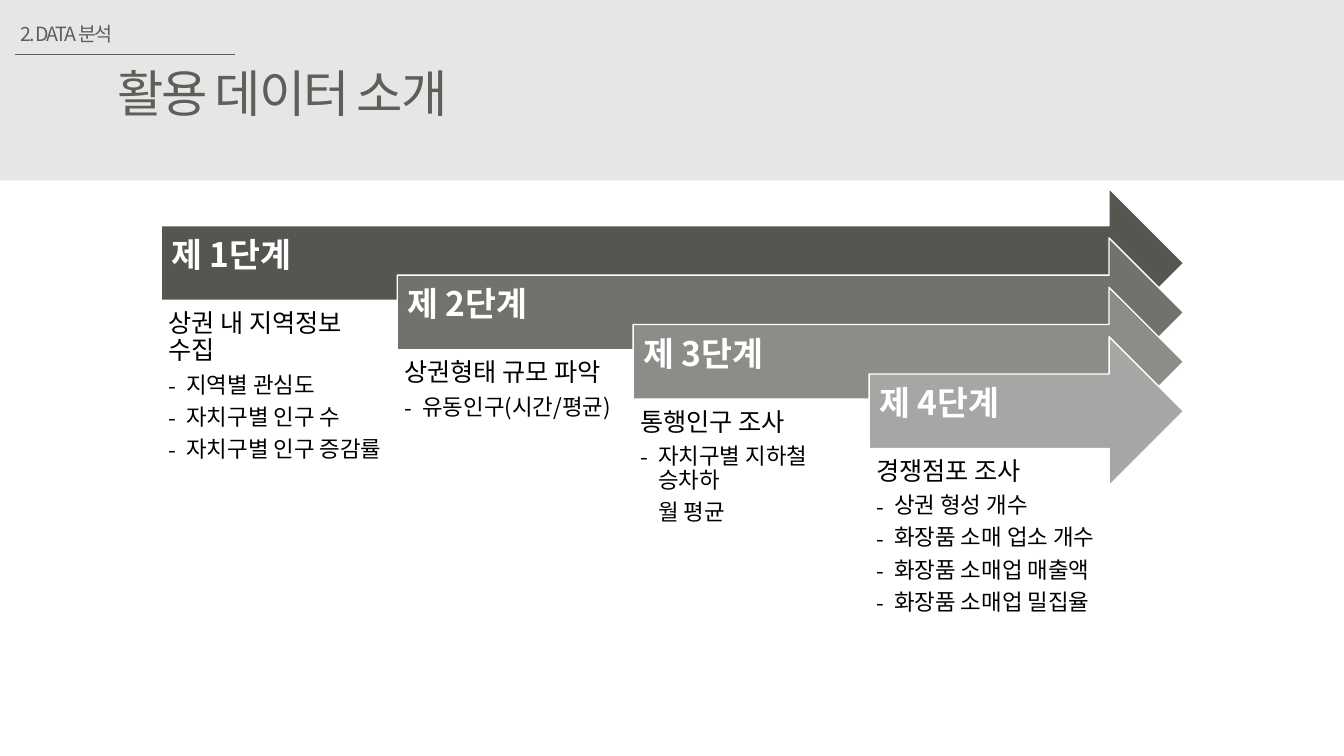
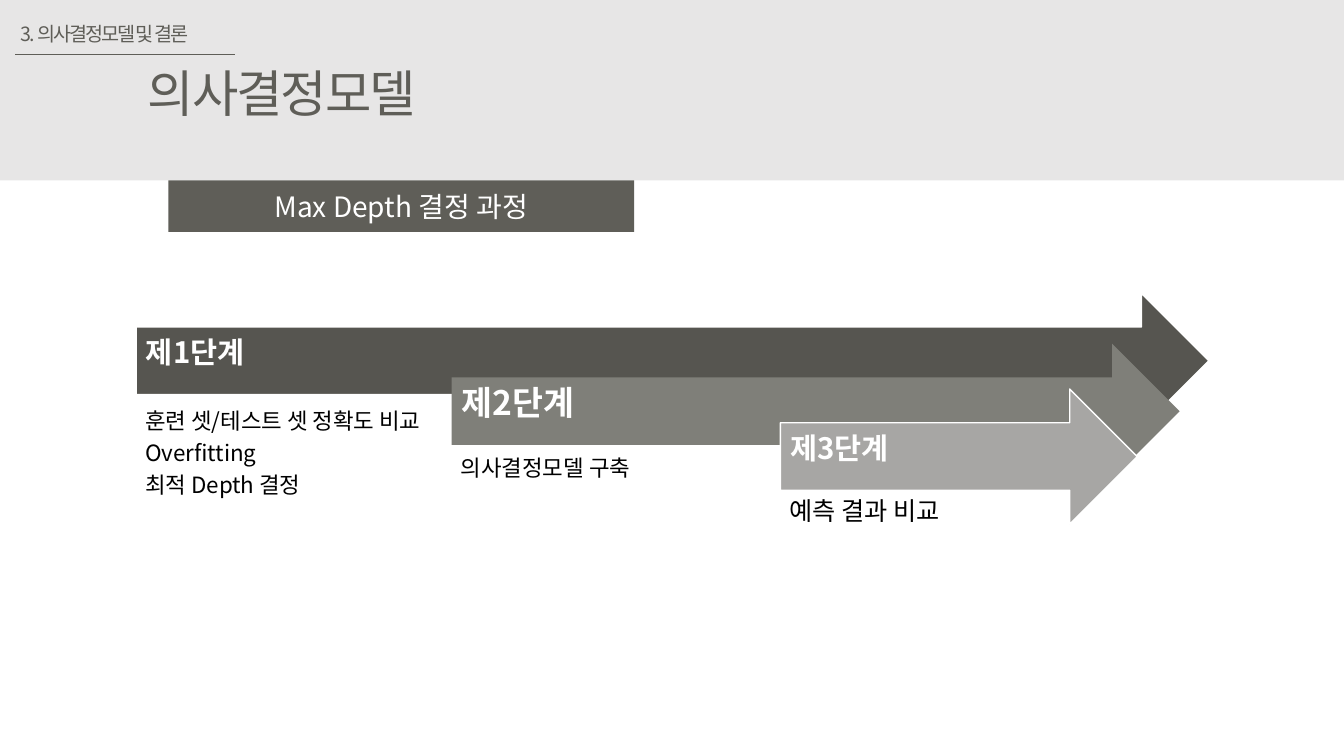
"""Builds two slides that show analysis steps as staggered arrows."""
from dataclasses import dataclass

from lxml.etree import SubElement
from pptx import Presentation
from pptx.dml.color import RGBColor
from pptx.enum.shapes import MSO_CONNECTOR, MSO_SHAPE
from pptx.enum.text import MSO_ANCHOR, MSO_AUTO_SIZE, PP_ALIGN
from pptx.oxml.ns import qn
from pptx.util import Inches, Pt


@dataclass(frozen=True)
class Theme:
    """Colours, font and type sizes of the deck."""
    font: str = "Noto Sans CJK KR"
    band: str = "E7E6E6"
    ink: str = "5F5E58"
    black: str = "000000"
    white: str = "FFFFFF"
    steps: tuple = ("565550", "72716B", "8C8C88", "A7A6A4")
    middle_step: str = "7F7F79"
    section_size: int = 14
    item_size: int = 16
    lead_size: int = 18
    banner_size: int = 20
    small_label_size: int = 21
    label_size: int = 24
    title_size: int = 36


def assign(target, values):
    """Set each attribute of target from a dict of values."""
    for name, value in values.items():
        setattr(target, name, value)


class Deck:
    """Holds the style and the current slide."""

    def __init__(self, theme):
        """Start a wide presentation."""
        self.theme = theme
        self.prs = Presentation()
        self.prs.slide_width = Inches(13.33)
        self.prs.slide_height = Inches(7.5)
        self.s = None

    def frame(self, tf, insets=(0.1, 0.05, 0.1, 0.05), wrap=True, anchor=MSO_ANCHOR.TOP):
        """Set insets, wrapping and anchor of a text frame."""
        sides = ("margin_left", "margin_top", "margin_right", "margin_bottom")
        assign(tf, dict(zip(sides, map(Inches, insets))))
        assign(tf, {"word_wrap": wrap, "auto_size": MSO_AUTO_SIZE.NONE,
                    "vertical_anchor": anchor})

    def run(self, p, text, size, color, bold=False, spacing=None):
        """Add one formatted run to a paragraph."""
        r = p.add_run()
        r.text = text
        assign(r.font, {"name": self.theme.font, "size": Pt(size), "bold": bold})
        r.font.color.rgb = RGBColor.from_string(color)
        rpr = r._r.get_or_add_rPr()
        SubElement(rpr, qn("a:ea")).set("typeface", self.theme.font)
        if spacing:
            rpr.set("spc", str(int(spacing * 100)))

    def shape(self, kind, box, fill, line=None):
        """Add a flat preset shape."""
        sp = self.s.shapes.add_shape(kind, *map(Inches, box))
        sp.shadow.inherit = False
        sp.fill.solid()
        sp.fill.fore_color.rgb = RGBColor.from_string(fill)
        if line:
            sp.line.color.rgb = RGBColor.from_string(line)
            sp.line.width = Pt(1)
        else:
            sp.line.fill.background()
        return sp

    def rule(self, left, right, top):
        """Add a thin horizontal line."""
        line = self.s.shapes.add_connector(
            MSO_CONNECTOR.STRAIGHT, *map(Inches, (left, top, right, top)))
        line.line.color.rgb = RGBColor.from_string(self.theme.ink)
        line.line.width = Pt(0.5)
        SubElement(line._element.spPr, qn("a:effectLst"))

    def slide(self, section, title, title_left, title_width):
        """Add a slide with band, section name and title."""
        t = self.theme
        self.s = self.prs.slides.add_slide(self.prs.slide_layouts[5])
        sp = self.s.shapes.title
        band = self.shape(MSO_SHAPE.RECTANGLE, (0, 0, 13.33, 1.79), t.band)
        sp.element.addprevious(band.element)
        self.rule(0.15, 2.33, 0.54)

        tb = self.s.shapes.add_textbox(*map(Inches, (0.11, 0.17, 2, 0.34)))
        self.frame(tb.text_frame, wrap=False)
        self.run(tb.text_frame.paragraphs[0], section, t.section_size, t.ink, spacing=-1.5)

        box = (title_left, 0.57, title_width, 0.71)
        assign(sp, dict(zip(("left", "top", "width", "height"), map(Inches, box))))
        self.frame(sp.text_frame, wrap=False)
        p = sp.text_frame.paragraphs[0]
        p.alignment = PP_ALIGN.CENTER
        self.run(p, title, t.title_size, t.ink, spacing=-1.5)

    def banner(self, box, text):
        """Add a dark bar with centred text."""
        t = self.theme
        sp = self.shape(MSO_SHAPE.RECTANGLE, box, t.ink)
        self.frame(sp.text_frame, anchor=MSO_ANCHOR.MIDDLE)
        p = sp.text_frame.paragraphs[0]
        p.alignment = PP_ALIGN.CENTER
        self.run(p, text, t.banner_size, t.white)

    def arrow(self, box, text, size, fill, outlined=True):
        """Add a step arrow with its label."""
        t = self.theme
        sp = self.shape(MSO_SHAPE.RIGHT_ARROW, box, fill, t.white if outlined else None)
        self.frame(sp.text_frame, (0.1, 0.1, 0.28, 0.23), anchor=MSO_ANCHOR.MIDDLE)
        p = sp.text_frame.paragraphs[0]
        assign(p, {"alignment": PP_ALIGN.LEFT, "line_spacing": 0.9})
        self.run(p, text, size, t.white, bold=True)

    def details(self, box, lines):
        """Add paragraphs given as text, size and optional mark."""
        tb = self.s.shapes.add_textbox(*map(Inches, box))
        tf = tb.text_frame
        self.frame(tf, (0.07,) * 4)
        for i, (text, size, mark) in enumerate(lines):
            p = tf.add_paragraph() if i else tf.paragraphs[0]
            assign(p, {"line_spacing": 0.9, "space_after": Pt(round(size * 0.35, 1))})
            if mark is not None:
                ppr = p._p.get_or_add_pPr()
                ppr.set("marL", str(Inches(0.18)))
                if mark:
                    ppr.set("indent", str(-Inches(0.18)))
                    SubElement(ppr, qn("a:buFont")).set("typeface", self.theme.font)
                    SubElement(ppr, qn("a:buChar")).set("char", mark)
            self.run(p, text, size, self.theme.black)


def data_slide(deck):
    """Build the four data steps."""
    t = deck.theme
    deck.slide("2. DATA 분석", "활용 데이터 소개", 0.89, 3.82)
    steps = [
        ("상권 내 지역정보 수집",
         [("지역별 관심도", "-"), ("자치구별 인구 수", "-"), ("자치구별 인구 증감률", "-")]),
        ("상권형태 규모 파악", [("유동인구(시간/평균)", "-")]),
        ("통행인구 조사", [("자치구별 지하철 승차하", "-"), ("월 평균", "")]),
        ("경쟁점포 조사",
         [("상권 형성 개수", "-"), ("화장품 소매 업소 개수", "-"),
          ("화장품 소매업 매출액", "-"), ("화장품 소매업 밀집율", "-")]),
    ]
    for i, (lead, items) in enumerate(steps):
        left, top = 1.6 + 2.34 * i, 1.87 + 0.49 * i
        deck.arrow((left, top, 11.74 - left, 1.48), f"제 {i + 1}단계", t.label_size, t.steps[i])
        lines = [(lead, t.lead_size, None)]
        lines += [(text, t.item_size, mark) for text, mark in items]
        deck.details((left, top + 1.14, 2.36, 2.7), lines)


def model_slide(deck):
    """Build the three model steps."""
    t = deck.theme
    deck.slide("3. 의사결정모델 및 결론", "의사결정모델", 1.24, 3.11)
    deck.banner((1.67, 1.79, 4.62, 0.51), "Max Depth 결정 과정")
    steps = [
        (1.35, 2.91, 11.99, t.small_label_size, t.steps[0], True, 4, 3.1, t.item_size,
         ["훈련 셋/테스트 셋 정확도 비교", "Overfitting", "최적 Depth 결정"]),
        (4.48, 3.41, 11.7, t.label_size, t.middle_step, False, 4.47, 2.84, t.item_size,
         ["의사결정모델 구축"]),
        (7.74, 3.86, 11.28, t.small_label_size, t.steps[3], True, 4.88, 2.84, t.lead_size,
         ["예측 결과 비교"]),
    ]
    for i, step in enumerate(steps, 1):
        left, top, right, label_size, fill, outlined, text_top, width, size, texts = step
        deck.arrow((left, top, right - left, 1.34), f"제{i}단계", label_size, fill, outlined)
        deck.details((left + 0.02, text_top, width, 1.2), [(text, size, None) for text in texts])


def main():
    """Build and save the deck."""
    deck = Deck(Theme())
    data_slide(deck)
    model_slide(deck)
    deck.prs.save("out.pptx")


if __name__ == "__main__":
    main()
